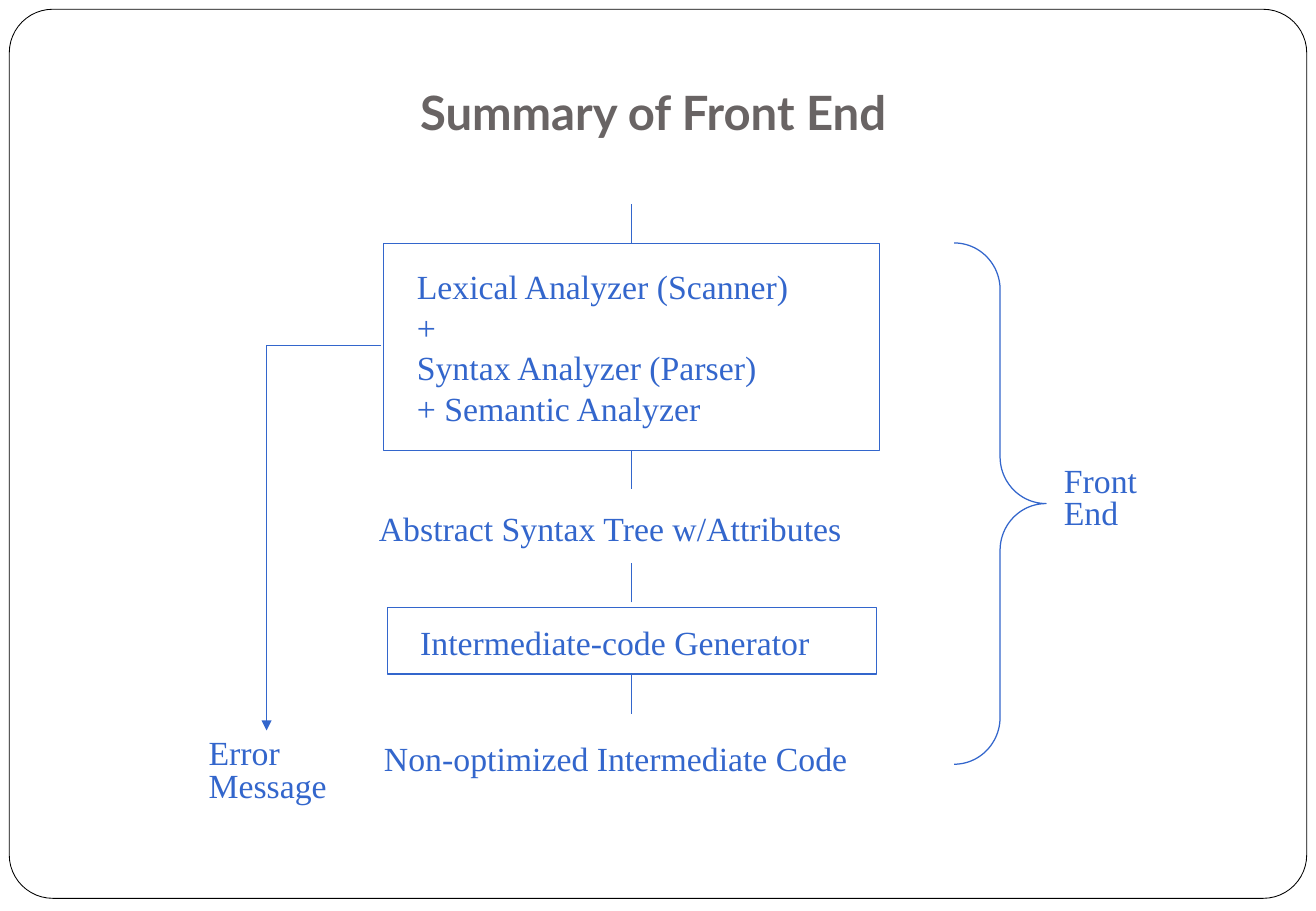
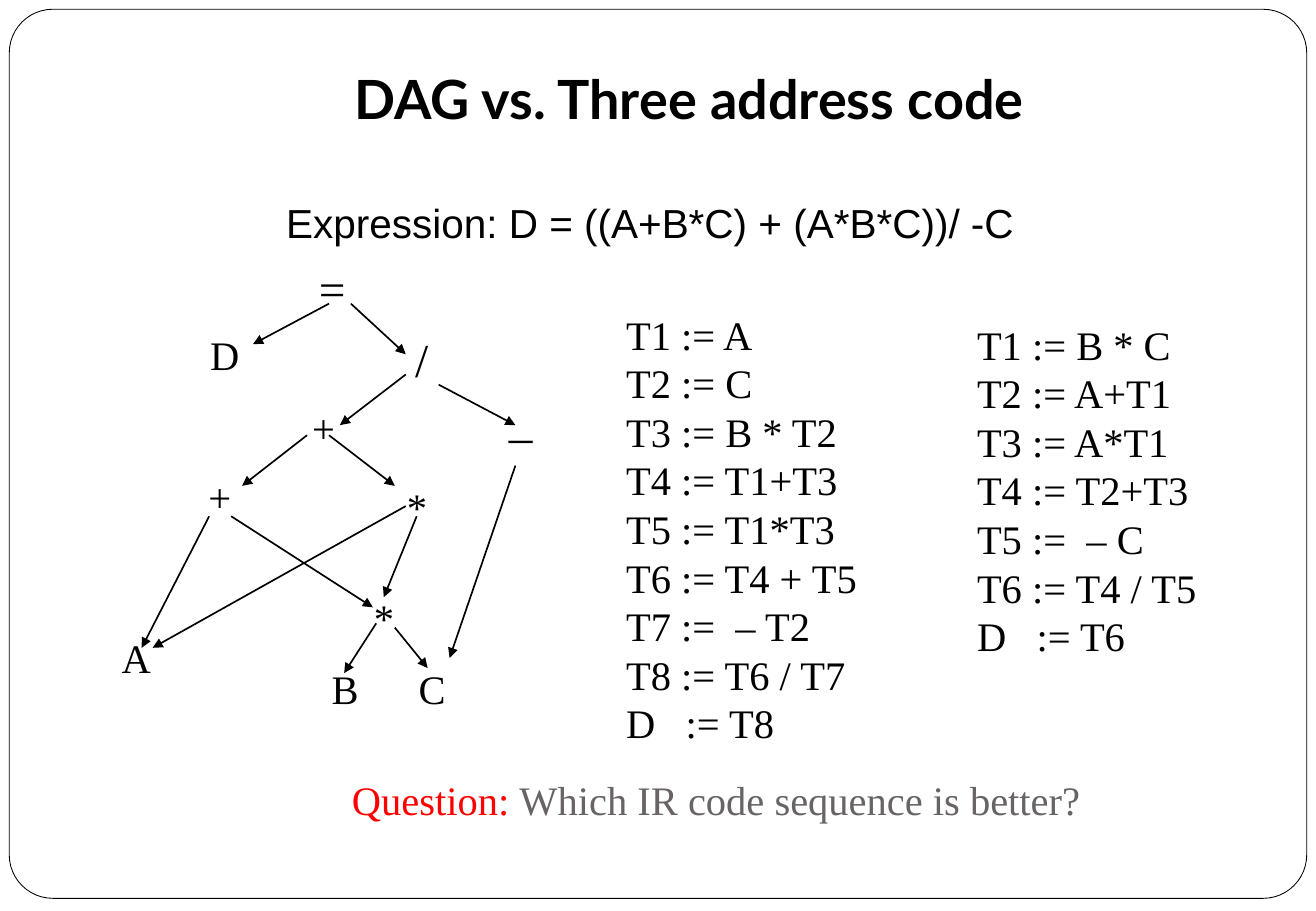
import pptx
import pptx.util
import pptx.dml.color
import pptx.enum.shapes
import pptx.enum.text
import pptx.oxml.ns
import lxml.etree

Pt = pptx.util.Pt
Color = pptx.dml.color.RGBColor
Shape = pptx.enum.shapes.MSO_SHAPE
qn = pptx.oxml.ns.qn

BLACK = Color(0x00, 0x00, 0x00)
BLUE = Color(0x33, 0x66, 0xCC)
GRAY = Color(0x69, 0x64, 0x64)
RED = Color(0xFF, 0x00, 0x00)
TITLE_FONT = "Lato"
BODY_FONT = "Times New Roman"


def add_text(page, text, left, top, width, height, size, color,
             font=BODY_FONT, wrap=False, spacing=None):
    box = page.shapes.add_textbox(Pt(left), Pt(top), Pt(width), Pt(height))
    frame = box.text_frame
    frame.text = text
    frame.word_wrap = wrap
    frame.auto_size = pptx.enum.text.MSO_AUTO_SIZE.SHAPE_TO_FIT_TEXT
    for para in frame.paragraphs:
        para.line_spacing = spacing
        for span in para.runs:
            span.font.name = font
            span.font.size = Pt(size)
            span.font.color.rgb = color
    return box


def style_line(shape, color, width, arrow=False):
    shape.line.color.rgb = color
    shape.line.width = Pt(width)
    properties = shape.element.spPr
    if arrow:
        outline = properties.find(qn("a:ln"))
        lxml.etree.SubElement(outline, qn("a:tailEnd"), type="triangle")
    if properties.find(qn("a:effectLst")) is None:
        lxml.etree.SubElement(properties, qn("a:effectLst"))


deck = pptx.Presentation()
deck.slide_width, deck.slide_height = Pt(780), Pt(540)
straight = pptx.enum.shapes.MSO_CONNECTOR.STRAIGHT

# Frame and title of both slides
titles = [
    ("Summary of Front End ", 28, GRAY, (59, 0, 663, 90)),
    ("DAG vs. Three address code", 32, BLACK, (83.5, 24.5, 650, 60)),
]
pages = []
for text, size, color, place in titles:
    page = deck.slides.add_slide(deck.slide_layouts[5])
    pages.append(page)
    border = page.shapes.add_shape(Shape.ROUNDED_RECTANGLE, Pt(5.5), Pt(5.5), Pt(769), Pt(527))
    border.adjustments[0] = 0.049
    border.fill.background()
    style_line(border, BLACK, 0.5)

    title = page.shapes.title
    title.left, title.top, title.width, title.height = [Pt(value) for value in place]
    frame = title.text_frame
    frame.text = text
    frame.auto_size = pptx.enum.text.MSO_AUTO_SIZE.NONE
    frame.vertical_anchor = pptx.enum.text.MSO_ANCHOR.BOTTOM
    frame.margin_left = frame.margin_right = frame.margin_bottom = Pt(7.2)
    frame.margin_top = Pt(3.6)
    para = frame.paragraphs[0]
    para.alignment = pptx.enum.text.PP_ALIGN.CENTER
    font = para.runs[0].font
    font.name, font.size, font.bold = TITLE_FONT, Pt(size), True
    font.color.rgb = color

front_end, dag = pages

# Slide 1: stage boxes and brace
outlines = []
for kind, left, top, width, height in [
    (Shape.RECTANGLE, 227.5, 144.5, 294, 122.5),
    (Shape.RECTANGLE, 229.5, 360, 290, 39.5),
    (Shape.RIGHT_BRACE, 565.5, 144, 54.5, 309),
]:
    outline = front_end.shapes.add_shape(kind, Pt(left), Pt(top), Pt(width), Pt(height))
    outline.fill.background()
    style_line(outline, BLUE, 0.75)
    outlines.append(outline)
analyzers, generator, brace = outlines
brace.adjustments[0] = 0.509

# Slide 1: flow lines, joined to a box side where they touch it
for start, end, box, side in [
    (144.5, 121, analyzers, 0),
    (267, 290, analyzers, 2),
    (357, 333.5, None, None),
    (399.5, 423, generator, 2),
]:
    line = front_end.shapes.add_connector(straight, Pt(374.5), Pt(start), Pt(374.5), Pt(end))
    if box is not None:
        line.begin_connect(box, side)
    style_line(line, BLUE, 0.75)

# Slide 1: error path
builder = front_end.shapes.build_freeform(Pt(226), Pt(205))
builder.add_line_segments([(Pt(158), Pt(205)), (Pt(158), Pt(433))], close=False)
error_path = builder.convert_to_shape()
error_path.fill.background()
style_line(error_path, BLUE, 0.75, arrow=True)

# Slide 1: labels
for text, left, top, width, height, spacing in [
    ("Lexical Analyzer (Scanner)\n+\nSyntax Analyzer (Parser)\n+ Semantic Analyzer",
     240, 154, 236, 104.5, None),
    ("Abstract Syntax Tree w/Attributes", 217.5, 297.5, 291, 31.5, None),
    ("Intermediate-code Generator", 242, 365, 247, 31.5, None),
    ("Non-optimized Intermediate Code", 220.5, 434, 291, 31.5, None),
    ("Front\nEnd", 623.5, 273.5, 58.5, 46, 0.8),
    ("Error\nMessage", 116.5, 435, 85, 46, 0.8),
]:
    add_text(front_end, text, left, top, width, height, 20, BLUE, spacing=spacing)

# Slide 2: expression
add_text(dag, "Expression: D = ((A+B*C) + (A*B*C))/ -C",
         162.5, 114, 450, 36, 24, BLACK, font="Arial")

# Slide 2: graph nodes
for text, left, top, width, size in [
    ("=", 182, 150, 31, 28),
    ("D", 117.5, 192, 32.5, 24),
    ("/", 239, 192, 31, 28),
    ("+", 178, 235.5, 28, 24),
    ("_", 294.5, 228, 31, 28),
    ("+", 116.5, 276, 28, 24),
    ("*", 234, 282, 26.5, 24),
    ("*", 214.5, 348, 26.5, 24),
    ("A", 65, 372, 32.5, 24),
    ("B", 189.5, 390, 31, 24),
    ("C", 241, 390, 31, 24),
]:
    add_text(dag, text, left, top, width, 1.5 * size, size, BLACK, wrap=size == 28)

# Slide 2: graph edges
for start_x, start_y, end_x, end_y in [
    (195, 180, 150, 204),
    (208, 180, 240.5, 210),
    (240.5, 222, 201.5, 252),
    (260, 228, 305.5, 252),
    (182, 258, 143.5, 288),
    (195, 258, 234, 288),
    (124, 306, 84, 384),
    (137, 306, 221, 360),
    (240.5, 300, 90.5, 384),
    (247, 306, 227.5, 354),
    (305.5, 276, 266.5, 390),
    (223, 369.5, 204, 399),
    (234, 372, 253.5, 396),
]:
    edge = dag.shapes.add_connector(straight, Pt(start_x), Pt(start_y), Pt(end_x), Pt(end_y))
    style_line(edge, BLACK, 1, arrow=True)

# Slide 2: the two code sequences
long_code = """T1 := A
T2 := C
T3 := B * T2
T4 := T1+T3
T5 := T1*T3
T6 := T4 + T5
T7 :=  – T2
T8 := T6 / T7
D   := T8"""
short_code = """T1 := B * C
T2 := A+T1
T3 := A*T1
T4 := T2+T3
T5 :=  – C
T6 := T4 / T5
D   := T6"""
for code, left, top, height in [(long_code, 364, 180, 269), (short_code, 572, 186, 211)]:
    add_text(dag, code, left, top, 165, height, 24, BLACK, wrap=True)

# Slide 2: question
question = add_text(dag, "Question: ", 201.5, 456, 539, 36, 24, RED, wrap=True)
span = question.text_frame.paragraphs[0].add_run()
span.text = "Which IR code sequence is better?"
span.font.name, span.font.size = BODY_FONT, Pt(24)
span.font.color.rgb = GRAY

deck.save("out.pptx")
